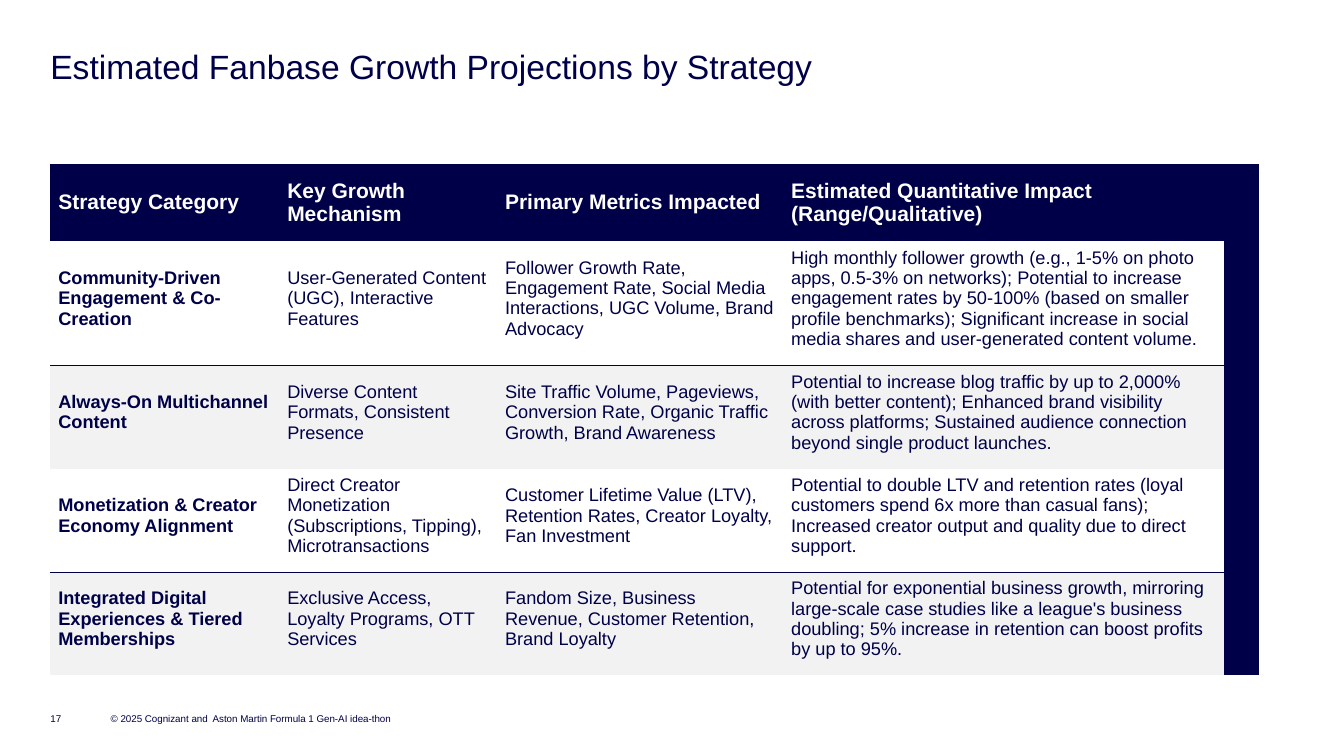
from dataclasses import dataclass

from lxml import etree
from pptx import Presentation
from pptx.dml.color import RGBColor
from pptx.enum.text import MSO_ANCHOR
from pptx.oxml.ns import qn
from pptx.util import Cm, Pt

MIDDLE, TOP = MSO_ANCHOR.MIDDLE, MSO_ANCHOR.TOP


@dataclass(frozen=True)
class Theme:
    """Colours, font and type sizes of the slide."""
    navy: str = "000048"
    white: str = "FFFFFF"
    band: str = "F2F2F2"
    font: str = "Arial"
    title: int = 24
    heading: int = 15
    body: int = 13
    footer: int = 7
    rule: int = 1


THEME = Theme()
COLUMN_WIDTHS = (5.77, 5.49, 7.21, 11.1, 0.89)
ROW_HEIGHTS = (1.93, 3.15, 2.6, 2.6, 2.6)
HEADINGS = (
    "Strategy Category",
    "Key Growth Mechanism",
    "Primary Metrics Impacted",
    "Estimated Quantitative Impact (Range/Qualitative)",
)
STRATEGIES = (
    (
        "Community-Driven Engagement & Co-Creation",
        "User-Generated Content (UGC), Interactive Features",
        "Follower Growth Rate, Engagement Rate, Social Media Interactions, "
        "UGC Volume, Brand Advocacy",
        "High monthly follower growth (e.g., 1-5% on photo apps, 0.5-3% on "
        "networks); Potential to increase engagement rates by 50-100% (based on "
        "smaller profile benchmarks); Significant increase in social media shares "
        "and user-generated content volume.",
    ),
    (
        "Always-On Multichannel Content",
        "Diverse Content Formats, Consistent Presence",
        "Site Traffic Volume, Pageviews, Conversion Rate, Organic Traffic Growth, "
        "Brand Awareness",
        "Potential to increase blog traffic by up to 2,000% (with better content); "
        "Enhanced brand visibility across platforms; Sustained audience connection "
        "beyond single product launches.",
    ),
    (
        "Monetization & Creator Economy Alignment",
        "Direct Creator Monetization (Subscriptions, Tipping), Microtransactions",
        "Customer Lifetime Value (LTV), Retention Rates, Creator Loyalty, "
        "Fan Investment",
        "Potential to double LTV and retention rates (loyal customers spend 6x more "
        "than casual fans); Increased creator output and quality due to direct "
        "support.",
    ),
    (
        "Integrated Digital Experiences & Tiered Memberships",
        "Exclusive Access, Loyalty Programs, OTT Services",
        "Fandom Size, Business Revenue, Customer Retention, Brand Loyalty",
        "Potential for exponential business growth, mirroring large-scale case "
        "studies like a league's business doubling; 5% increase in retention can "
        "boost profits by up to 95%.",
    ),
)


def add_words(paragraph, words, size, colour=THEME.navy, bold=False):
    """Add one run of words in the theme font."""
    run = paragraph.add_run()
    run.text = words
    run.font.name = THEME.font
    run.font.size = Pt(size)
    run.font.bold = bold
    run.font.color.rgb = RGBColor.from_string(colour)


def add_line(slide, box, words, size, anchor):
    """Place a line of text without insets and return its paragraph."""
    frame = slide.shapes.add_textbox(*map(Cm, box)).text_frame
    frame.word_wrap = True
    frame.vertical_anchor = anchor
    frame.margin_left = frame.margin_right = 0
    frame.margin_top = frame.margin_bottom = 0
    paragraph = frame.paragraphs[0]
    add_words(paragraph, words, size)
    return paragraph


def add_title(slide, box):
    """Place the slide title."""
    title = add_line(slide, box, "Estimated Fanbase Growth Projections by Strategy",
                     THEME.title, TOP)
    title.line_spacing = 0.9


def add_footer(slide, box):
    """Place the page number and the copyright line."""
    left, top, width, height = box
    indent = 1.52
    add_line(slide, (left, top, 1.02, height), "17", THEME.footer, MIDDLE)
    add_line(slide, (left + indent, top, width - indent, height),
             "© 2025 Cognizant and  Aston Martin Formula 1 Gen-AI idea-thon",
             THEME.footer, MIDDLE)


def set_borders(cell, ruled_side):
    """Rule one side of a cell and clear the others."""
    properties = cell._tc.get_or_add_tcPr()
    for position, side in enumerate(("lnL", "lnR", "lnT", "lnB")):
        line = etree.Element(qn(f"a:{side}"))
        if side == ruled_side:
            line.set("w", str(Pt(THEME.rule)))
            fill = etree.SubElement(line, qn("a:solidFill"))
            etree.SubElement(fill, qn("a:srgbClr"), val=THEME.navy)
        else:
            line.set("w", "0")
            etree.SubElement(line, qn("a:noFill"))
        properties.insert(position, line)


def style_cell(cell, fill, margin_top, ruled_side=None):
    """Set the fill, insets and borders of a cell."""
    cell.fill.solid()
    cell.fill.fore_color.rgb = RGBColor.from_string(fill)
    cell.vertical_anchor = MIDDLE
    cell.margin_left, cell.margin_right = Cm(0.2), Cm(0.13)
    cell.margin_top, cell.margin_bottom = Cm(margin_top), Cm(0.28)
    set_borders(cell, ruled_side)


def add_projections(slide, box):
    """Place the table of strategies with its closing navy column."""
    table = slide.shapes.add_table(
        len(ROW_HEIGHTS), len(COLUMN_WIDTHS), *map(Cm, box)).table
    table.first_row = table.horz_banding = False
    for column, width in zip(table.columns, COLUMN_WIDTHS):
        column.width = Cm(width)
    for row, height in zip(table.rows, ROW_HEIGHTS):
        row.height = Cm(height)

    for column, heading in enumerate(HEADINGS):
        cell = table.cell(0, column)
        style_cell(cell, THEME.navy, 0.28)
        add_words(cell.text_frame.paragraphs[0], heading, THEME.heading,
                  THEME.white, True)

    for row, strategy in enumerate(STRATEGIES, 1):
        fill, ruled_side = ((THEME.white, "lnB") if row % 2
                            else (THEME.band, "lnT"))
        for column, words in enumerate(strategy):
            cell = table.cell(row, column)
            style_cell(cell, fill, 0.03, ruled_side)
            add_words(cell.text_frame.paragraphs[0], words, THEME.body,
                      bold=column == 0)

    last = len(COLUMN_WIDTHS) - 1
    for row in range(len(ROW_HEIGHTS)):
        style_cell(table.cell(row, last), THEME.navy, 0.03)
    table.cell(0, last).merge(table.cell(len(ROW_HEIGHTS) - 1, last))


def main():
    """Build the slide and save it."""
    deck = Presentation()
    deck.slide_width, deck.slide_height = Cm(33.87), Cm(19.05)
    slide = deck.slides.add_slide(deck.slide_layouts[6])
    left = 1.27
    add_title(slide, (left, 1.27, 31.32, 0.91))
    add_projections(slide, (left, 4.14, sum(COLUMN_WIDTHS), sum(ROW_HEIGHTS)))
    add_footer(slide, (left, 17.78, 9.47, 0.64))
    deck.save("out.pptx")


if __name__ == "__main__":
    main()
